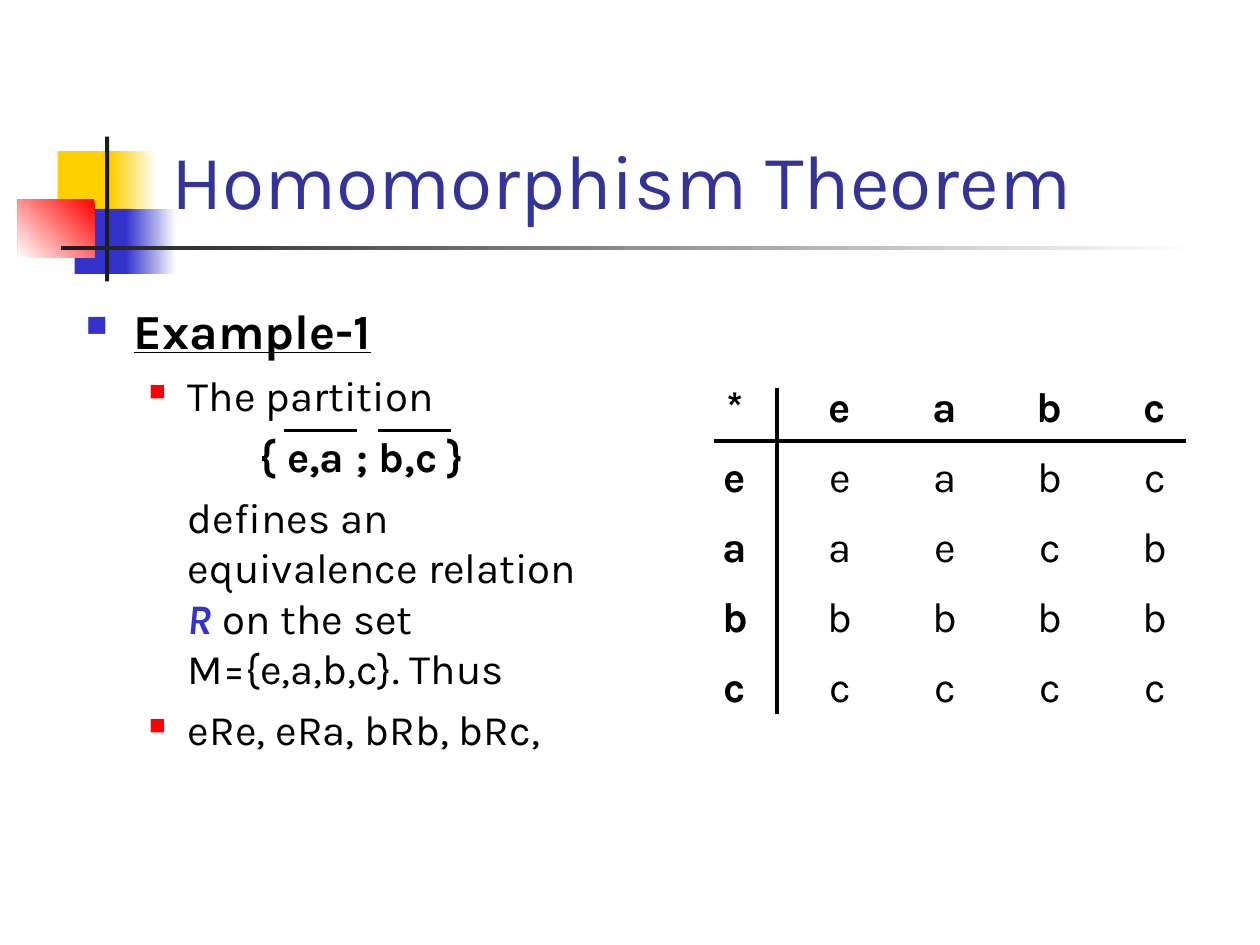
"""Build the Homomorphism Theorem slide on a grid of 120 columns by 90 rows."""
from typing import NamedTuple, Optional

from lxml.etree import SubElement
from pptx import Presentation
from pptx.dml.color import RGBColor
from pptx.enum.shapes import MSO_CONNECTOR as Connector, MSO_SHAPE as Shape
from pptx.enum.text import MSO_ANCHOR as Anchor, MSO_AUTO_SIZE as AutoSize, PP_ALIGN as Align
from pptx.oxml.ns import qn
from pptx.util import Inches, Pt

FONT = "Karla"
BLACK = RGBColor(0x00, 0x00, 0x00)
WHITE = RGBColor(0xFF, 0xFF, 0xFF)
YELLOW = RGBColor(0xFF, 0xCF, 0x01)
BLUE = RGBColor(0x33, 0x33, 0xCC)
RED = RGBColor(0xFF, 0x00, 0x00)
CHARCOAL = RGBColor(0x1C, 0x1C, 0x1C)
TITLE_BLUE = RGBColor(0x33, 0x33, 0x99)


class Box(NamedTuple):
    col: float
    row: float
    cols: float
    rows: float


class Block(NamedTuple):
    box: Box
    start: RGBColor
    end: Optional[RGBColor] = None
    angle: float = 180


class Rule(NamedTuple):
    col1: float
    row1: float
    col2: float
    row2: float


class Bullet(NamedTuple):
    color: RGBColor
    percent: int


class Span(NamedTuple):
    text: str
    bold: bool = False
    italic: bool = False
    underline: bool = False
    color: RGBColor = BLACK


class Para(NamedTuple):
    spans: list[Span]
    bullet: Optional[Bullet] = None
    level: int = 1
    size: int = 24
    before: int = 6
    margin: float = 0.81
    indent: float = -0.31
    align: Align = Align.LEFT


ITEM = Bullet(RED, 55)
TITLE_BOX = Box(15.1, 2.8, 102.2, 19.2)
BODY_BOX = Box(7, 28, 50, 54)
TABLE_BOX = Box(65, 36, 50, 33.35)
BLOCKS = [
    Block(Box(5.5, 14.4, 5.8, 6.2), YELLOW),
    Block(Box(10.6, 14.4, 4.3, 6.2), WHITE, YELLOW),
    Block(Box(7.1, 19.9, 5.5, 6.2), BLUE),
    Block(Box(12, 19.9, 4.8, 6.2), WHITE, BLUE),
    Block(Box(1.7, 19, 7.3, 5.5), RED, WHITE, 225),
    Block(Box(10, 13, 0.4, 13.8), CHARCOAL),
    Block(Box(5.8, 23.4, 108, 0.4), WHITE, CHARCOAL),
]
RULES = [Rule(27, 41, 34, 41), Rule(36, 41, 43, 41), Rule(74, 37, 74, 68), Rule(68, 42, 113, 42)]
PARAS = [
    Para([Span("Example-1", bold=True, underline=True)], Bullet(BLUE, 60),
         level=0, size=28, before=7, margin=0.38, indent=-0.38),
    Para([Span("The partition")], ITEM),
    Para([Span("{ e,a ; b,c } ", bold=True)], align=Align.CENTER),
    Para([Span("defines an equivalence relation "),
          Span("R", bold=True, italic=True, color=BLUE),
          Span(" on the set M={e,a,b,c}. Thus")], indent=0),
    Para([Span("eRe, eRa, bRb, bRc,")], ITEM),
]
PRODUCTS = ["*eabc", "eeabc", "aaecb", "bbbbb", "ccccc"]


def grid(n: float) -> int:
    """Return the length of n grid units, twelve to the inch."""
    return Inches(n / 12)


def add_block(s, block: Block) -> None:
    """Draw a plain or fading rectangle."""
    sp = s.shapes.add_shape(Shape.RECTANGLE, *map(grid, block.box))
    sp.shadow.inherit = False
    sp.line.fill.background()
    if block.end is None:
        sp.fill.solid()
        sp.fill.fore_color.rgb = block.start
        return
    sp.fill.gradient()
    sp.fill.gradient_angle = block.angle
    for stop, color in zip(sp.fill.gradient_stops, (block.start, block.end)):
        stop.color.rgb = color


def add_rule(s, rule: Rule) -> None:
    """Draw a straight black line."""
    line = s.shapes.add_connector(Connector.STRAIGHT, *map(grid, rule))
    line.line.color.rgb = BLACK
    line.line.width = Pt(2.25)
    SubElement(line.element.spPr, qn("a:effectLst"))


def format_run(r, size: int, span: Span) -> None:
    """Apply the font of the slide and the style of a span."""
    f = r.font
    f.name, f.size, f.color.rgb = FONT, Pt(size), span.color
    f.bold, f.italic, f.underline = span.bold, span.italic, span.underline


def fill_para(p, para: Para) -> None:
    """Write the runs of a paragraph and set its indents and bullet."""
    p.level, p.alignment, p.space_before = para.level, para.align, Pt(para.before)
    for span in para.spans:
        r = p.add_run()
        r.text = span.text
        format_run(r, para.size, span)
    ppr = p._p.get_or_add_pPr()
    ppr.set("marL", str(Inches(para.margin)))
    ppr.set("indent", str(Inches(para.indent)))
    if para.bullet:
        color = SubElement(ppr, qn("a:buClr"))
        SubElement(color, qn("a:srgbClr"), val=str(para.bullet.color))
        SubElement(ppr, qn("a:buSzPct"), val=str(para.bullet.percent * 1000))
        SubElement(ppr, qn("a:buChar"), char="■")


def set_title(s, text: str) -> None:
    """Place the title in front of the blocks."""
    sp = s.shapes.title
    sp.element.getparent().append(sp.element)
    sp.left, sp.top, sp.width, sp.height = map(grid, TITLE_BOX)
    tf = sp.text_frame
    tf.text = text
    tf.auto_size, tf.vertical_anchor = AutoSize.NONE, Anchor.BOTTOM
    p = tf.paragraphs[0]
    p.alignment = Align.LEFT
    format_run(p.runs[0], 44, Span(text, color=TITLE_BLUE))


def add_body(s) -> None:
    """Add the example text."""
    tf = s.shapes.add_textbox(*map(grid, BODY_BOX)).text_frame
    tf.word_wrap = True
    for i, para in enumerate(PARAS):
        fill_para(tf.add_paragraph() if i else tf.paragraphs[0], para)


def add_products(s) -> None:
    """Add the operation table with bold headings."""
    n = len(PRODUCTS)
    table = s.shapes.add_table(n, n, *map(grid, TABLE_BOX)).table
    table.first_row = table.horz_banding = False
    for i, row in enumerate(PRODUCTS):
        for j, text in enumerate(row):
            cell = table.cell(i, j)
            cell.fill.background()
            cell.text_frame.text = text
            p = cell.text_frame.paragraphs[0]
            p.alignment, p.space_before = Align.CENTER, Pt(6)
            format_run(p.runs[0], 24, Span(text, bold=i == 0 or j == 0))


def main() -> None:
    """Build and save the slide."""
    prs = Presentation()
    prs.slide_width, prs.slide_height = grid(120), grid(90)
    s = prs.slides.add_slide(prs.slide_layouts[5])
    for block in BLOCKS:
        add_block(s, block)
    set_title(s, "Homomorphism Theorem")
    add_body(s)
    add_products(s)
    for rule in RULES:
        add_rule(s, rule)
    prs.save("out.pptx")


if __name__ == "__main__":
    main()
